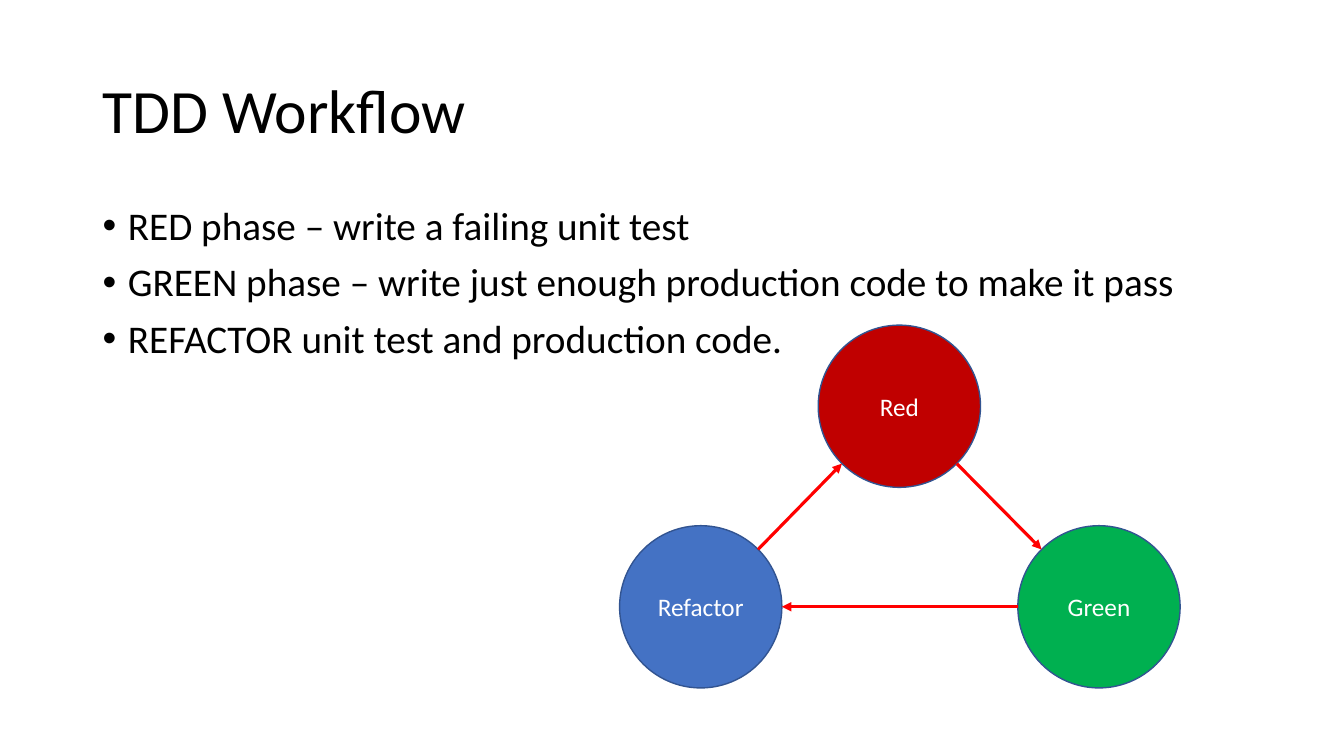
from math import cos, radians, sin

from lxml.etree import SubElement
from pptx import Presentation
from pptx.dml.color import RGBColor
from pptx.enum.shapes import MSO_CONNECTOR, MSO_SHAPE
from pptx.enum.text import MSO_ANCHOR, PP_ALIGN
from pptx.oxml.ns import qn
from pptx.util import Inches, Pt


def color(hex_string):
    """Turn a hex string into a colour."""
    return RGBColor.from_string(hex_string)


def add_run(paragraph, text, size, hex_string):
    """Add a run of Calibri text to a paragraph."""
    run = paragraph.add_run()
    run.text = text
    run.font.name = "Calibri"
    run.font.size = Pt(size)
    run.font.color.rgb = color(hex_string)


presentation = Presentation()
presentation.slide_width = Inches(13.33)
presentation.slide_height = Inches(7.5)
slide = presentation.slides.add_slide(presentation.slide_layouts[6])

# Title
title = slide.shapes.add_textbox(Inches(0.92), Inches(0.4), Inches(11.5), Inches(1.45))
title.text_frame.word_wrap = True
title.text_frame.vertical_anchor = MSO_ANCHOR.MIDDLE
paragraph = title.text_frame.paragraphs[0]
paragraph.line_spacing = 0.9
add_run(paragraph, "TDD Workflow", 44, "000000")

# Bulleted phases
phases = [
    "RED phase – write a failing unit test",
    "GREEN phase – write just enough production code to make it pass",
    "REFACTOR unit test and production code.",
]
body = slide.shapes.add_textbox(Inches(0.92), Inches(2), Inches(11.5), Inches(1.89))
body.text_frame.word_wrap = True
for index, phase in enumerate(phases):
    paragraph = body.text_frame.add_paragraph() if index else body.text_frame.paragraphs[0]
    paragraph.line_spacing = 0.9
    paragraph.space_before = Pt(10)
    properties = paragraph._p.get_or_add_pPr()
    properties.set("marL", str(Inches(0.25)))
    properties.set("indent", str(Inches(-0.25)))
    SubElement(properties, qn("a:buFont")).set("typeface", "Arial")
    SubElement(properties, qn("a:buChar")).set("char", "•")
    add_run(paragraph, phase, 28, "000000")

# Cycle circles: label, centre x, centre y, fill
diameter = 1.61
radius = diameter / 2
circles = [
    ("Red", 8.92, 4.03, "C00000"),
    ("Green", 10.9, 6.02, "00B050"),
    ("Refactor", 6.95, 6.02, "4472C4"),
]
centers = {}
for label, center_x, center_y, fill in circles:
    centers[label] = (center_x, center_y)
    circle = slide.shapes.add_shape(
        MSO_SHAPE.OVAL, Inches(center_x - radius), Inches(center_y - radius),
        Inches(diameter), Inches(diameter))
    circle.shadow.inherit = False
    circle.fill.solid()
    circle.fill.fore_color.rgb = color(fill)
    circle.line.color.rgb = color("325491")
    circle.line.width = Pt(1)
    circle.text_frame.vertical_anchor = MSO_ANCHOR.MIDDLE
    paragraph = circle.text_frame.paragraphs[0]
    paragraph.alignment = PP_ALIGN.CENTER
    add_run(paragraph, label, 18, "FFFFFF")

# Arrows leave and enter the circles at these clockwise angles from the right
arrows = [
    ("Red", 45, "Green", 225),
    ("Green", 180, "Refactor", 0),
    ("Refactor", 315, "Red", 135),
]
for source, source_angle, target, target_angle in arrows:
    ends = []
    for label, angle in ((source, source_angle), (target, target_angle)):
        center_x, center_y = centers[label]
        ends.append(Inches(center_x + radius * cos(radians(angle))))
        ends.append(Inches(center_y + radius * sin(radians(angle))))
    arrow = slide.shapes.add_connector(MSO_CONNECTOR.STRAIGHT, *ends)
    arrow.line.color.rgb = color("FF0000")
    arrow.line.width = Pt(2.25)
    SubElement(arrow.line._get_or_add_ln(), qn("a:tailEnd")).set("type", "triangle")
    SubElement(arrow._element.spPr, qn("a:effectLst"))

presentation.save("out.pptx")
